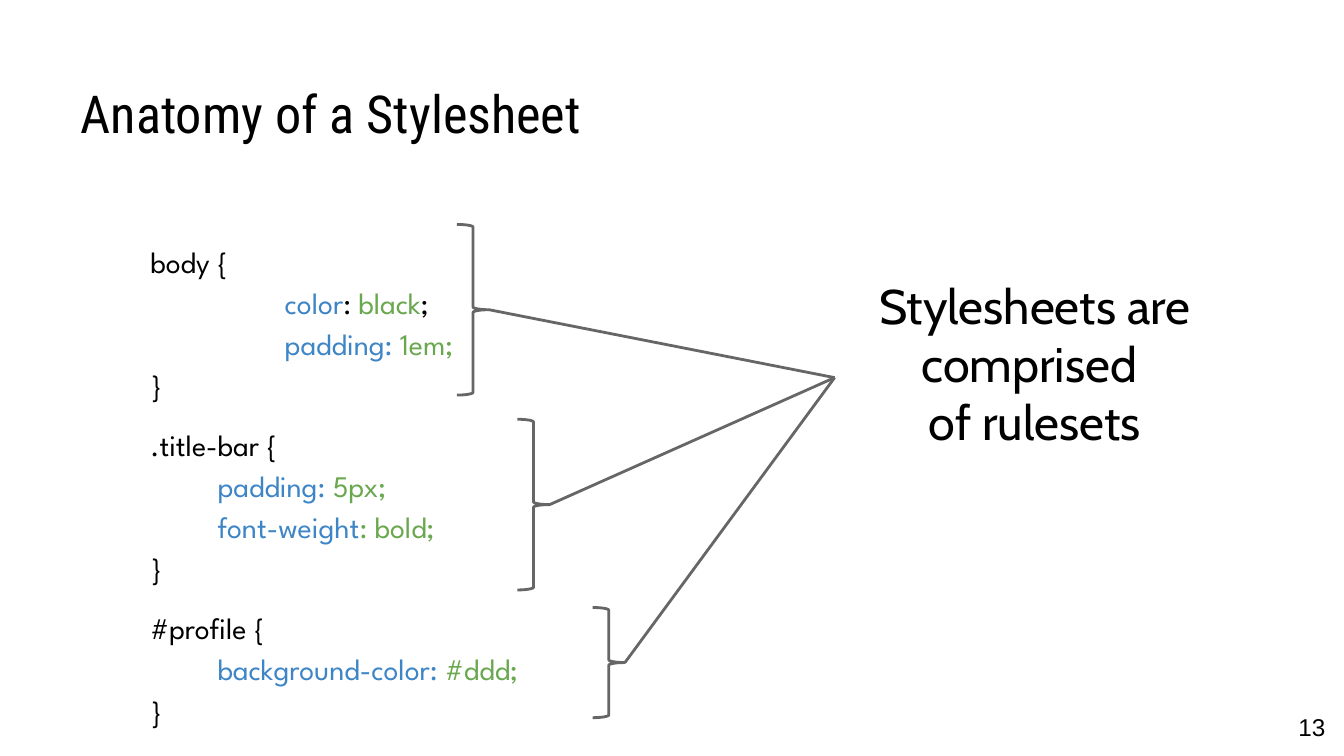
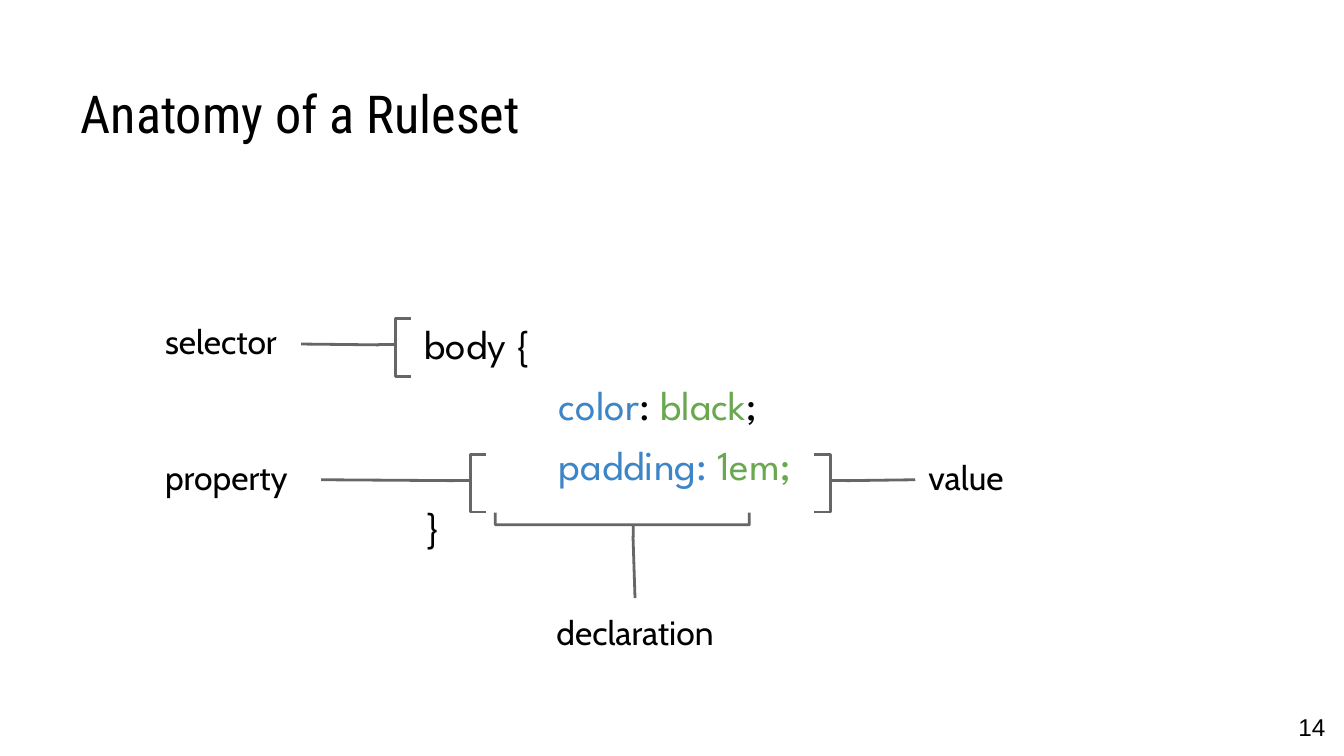
from lxml import etree
from pptx import Presentation
from pptx.dml.color import RGBColor
from pptx.enum.shapes import MSO_CONNECTOR, MSO_SHAPE
from pptx.enum.text import MSO_ANCHOR as Anchor, MSO_AUTO_SIZE, PP_ALIGN as Align
from pptx.oxml.ns import qn
from pptx.util import Inches, Pt

BLACK, BLUE, GREEN, GRAY = "000000", "3D85C6", "6AA84F", "666666"
TITLE_FONT, CODE_FONT, LABEL_FONT, NUMBER_FONT = (
    "Roboto Condensed", "League Spartan", "Cabin", "Arial")
TOP, LEFT, RIGHT = 0, 1, 3  # connection sites of a rectangle

# Each ruleset is a list of lines, each line a list of (text, colour) runs.
BODY_RULESET = [
    [("body {", BLACK)],
    [("\t", BLACK), ("color", BLUE), (": ", BLACK), ("black", GREEN), (";", BLACK)],
    [("\t", BLACK), ("padding: ", BLUE), ("1em;", GREEN)],
    [("}", BLACK)],
]
TITLE_BAR_RULESET = [
    [(".title-bar {", BLACK)],
    [("padding: ", BLUE), ("5px;", GREEN)],
    [("font-weight", BLUE), (": bold;", GREEN)],
    [("}", BLACK)],
]
PROFILE_RULESET = [
    [("#profile {", BLACK)],
    [("background-color: ", BLUE), ("#ddd;", GREEN)],
    [("}", BLACK)],
]
STYLESHEET = [BODY_RULESET, TITLE_BAR_RULESET, PROFILE_RULESET]

# Boxes are (left, top, width, height) in inches.
RULESET_BRACES = [(3.4, 1.67, 0.24, 1.27), (3.85, 3.12, 0.24, 1.27),
                  (4.41, 4.52, 0.24, 0.82)]
CONCLUSION = "Stylesheets are comprised \vof rulesets"

BRACE_WIDTH, BRACE_HEIGHT, BRACE_TIP = 0.24, 0.43, 0.457
LABEL_HEIGHT, BRACE_DROP = 0.54, 0.08
# text, label left, top and width, brace left, side of the label that is joined
SIDE_LABELS = [
    ("selector", 1.13, 2.29, 1.11, 2.82, RIGHT),
    ("property", 1.13, 3.3, 1.26, 3.38, RIGHT),
    ("value", 6.81, 3.3, 1.26, 6.06, LEFT),
]


def color(value):
    return RGBColor.from_string(value)


def format_font(font, name, size, value=BLACK):
    font.name = name
    font.size = Pt(size)
    font.color.rgb = color(value)


def prepare_frame(frame, anchor=Anchor.TOP):
    frame.word_wrap = True
    frame.auto_size = MSO_AUTO_SIZE.NONE
    frame.vertical_anchor = anchor
    frame.margin_left = frame.margin_right = Inches(0.1)
    frame.margin_top = frame.margin_bottom = Inches(0.1)


def add_text_box(slide, box, anchor=Anchor.TOP):
    shape = slide.shapes.add_textbox(*map(Inches, box))
    prepare_frame(shape.text_frame, anchor)
    return shape


def add_label(slide, text, box, size, font=LABEL_FONT, align=Align.LEFT,
              anchor=Anchor.TOP):
    shape = add_text_box(slide, box, anchor)
    paragraph = shape.text_frame.paragraphs[0]
    paragraph.text = text
    paragraph.alignment = align
    for run in paragraph.runs:
        format_font(run.font, font, size)
    return shape


def indent_code_line(paragraph, first_text):
    """Give a tabbed line a tab stop and any other line a first-line indent."""
    properties = paragraph._p.get_or_add_pPr()
    if first_text == "\t":
        tabs = etree.SubElement(properties, qn("a:tabLst"))
        etree.SubElement(tabs, qn("a:tab"), pos=str(Inches(1)), algn="l")
    else:
        properties.set("marL", "0")
        properties.set("indent", str(Inches(0.5)))


def add_code(slide, rulesets, box, size, line_spacing, line_gap, ruleset_gap):
    frame = add_text_box(slide, box).text_frame
    paragraph = None
    for ruleset in rulesets:
        for number, line in enumerate(ruleset):
            if paragraph is None:
                paragraph = frame.paragraphs[0]
            else:
                paragraph = frame.add_paragraph()
                paragraph.space_before = Pt(line_gap if number else ruleset_gap)
            paragraph.line_spacing = line_spacing
            if len(line) > 1:
                indent_code_line(paragraph, line[0][0])
            for text, value in line:
                run = paragraph.add_run()
                run.text = text
                format_font(run.font, CODE_FONT, size, value)


def add_brace(slide, preset, box, curve, tip, rotation=0):
    shape = slide.shapes.add_shape(preset, *map(Inches, box))
    shape.shadow.inherit = False
    shape.fill.background()
    shape.line.color.rgb = color(GRAY)
    shape.line.width = Pt(1.5)
    shape.adjustments[0] = curve
    shape.adjustments[1] = tip
    shape.rotation = rotation


def add_joining_line(slide, start, target, site):
    """Draw a line from a brace tip to the middle of one side of target."""
    begin = tuple(map(Inches, start))
    line = slide.shapes.add_connector(MSO_CONNECTOR.STRAIGHT, *begin, *begin)
    line.end_connect(target, site)
    line.line.color.rgb = color(GRAY)
    line.line.width = Pt(1.5)
    etree.SubElement(line._element.spPr, qn("a:effectLst"))


def add_titled_slide(presentation, title_text, number):
    slide = presentation.slides.add_slide(presentation.slide_layouts[5])
    title = slide.shapes.title
    title.left, title.top, title.width, title.height = map(
        Inches, (0.5, 0.23, 9, 0.94))
    prepare_frame(title.text_frame, Anchor.BOTTOM)
    title.text_frame.text = title_text
    paragraph = title.text_frame.paragraphs[0]
    paragraph.alignment = Align.LEFT
    format_font(paragraph.runs[0].font, TITLE_FONT, 28)
    add_label(slide, str(number), (9.36, 5.19, 0.6, 0.43), 13, NUMBER_FONT,
              Align.RIGHT, Anchor.MIDDLE)
    return slide


def build_stylesheet_slide(presentation):
    slide = add_titled_slide(presentation, "Anatomy of a Stylesheet", 13)
    add_code(slide, STYLESHEET, (1.02, 1.67, 3.89, 3.87), 16, 1.15, 0, 10)
    conclusion = add_label(slide, CONCLUSION, (6.21, 1.95, 2.98, 1.72), 26,
                           align=Align.CENTER)
    for box in RULESET_BRACES:
        left, top, width, height = box
        add_brace(slide, MSO_SHAPE.RIGHT_BRACE, box, 0.083, 0.5)
        add_joining_line(slide, (left + width, top + height / 2), conclusion, LEFT)


def build_ruleset_slide(presentation):
    slide = add_titled_slide(presentation, "Anatomy of a Ruleset", 14)
    add_code(slide, [BODY_RULESET], (3.06, 2.27, 3.89, 3.35), 22, 1.0, 6, 6)
    for text, left, top, width, brace_left, site in SIDE_LABELS:
        label = add_label(slide, text, (left, top, width, LABEL_HEIGHT), 18)
        brace_top = top + BRACE_DROP
        opens_right = site == RIGHT
        preset = MSO_SHAPE.LEFT_BRACE if opens_right else MSO_SHAPE.RIGHT_BRACE
        add_brace(slide, preset, (brace_left, brace_top, BRACE_WIDTH, BRACE_HEIGHT),
                  0, BRACE_TIP)
        tip_left = brace_left if opens_right else brace_left + BRACE_WIDTH
        add_joining_line(slide, (tip_left, brace_top + BRACE_TIP * BRACE_HEIGHT),
                         label, site)

    declaration = add_label(slide, "declaration", (3.95, 4.45, 1.55, LABEL_HEIGHT),
                            18, align=Align.CENTER)
    add_brace(slide, MSO_SHAPE.RIGHT_BRACE, (4.54, 2.96, 0.18, 1.89), 0, BRACE_TIP,
              rotation=90)
    add_joining_line(slide, (4.71, 3.99), declaration, TOP)


def main():
    presentation = Presentation()
    presentation.slide_width = Inches(10)
    presentation.slide_height = Inches(10) * 9 // 16
    build_stylesheet_slide(presentation)
    build_ruleset_slide(presentation)
    presentation.save("out.pptx")


if __name__ == "__main__":
    main()
